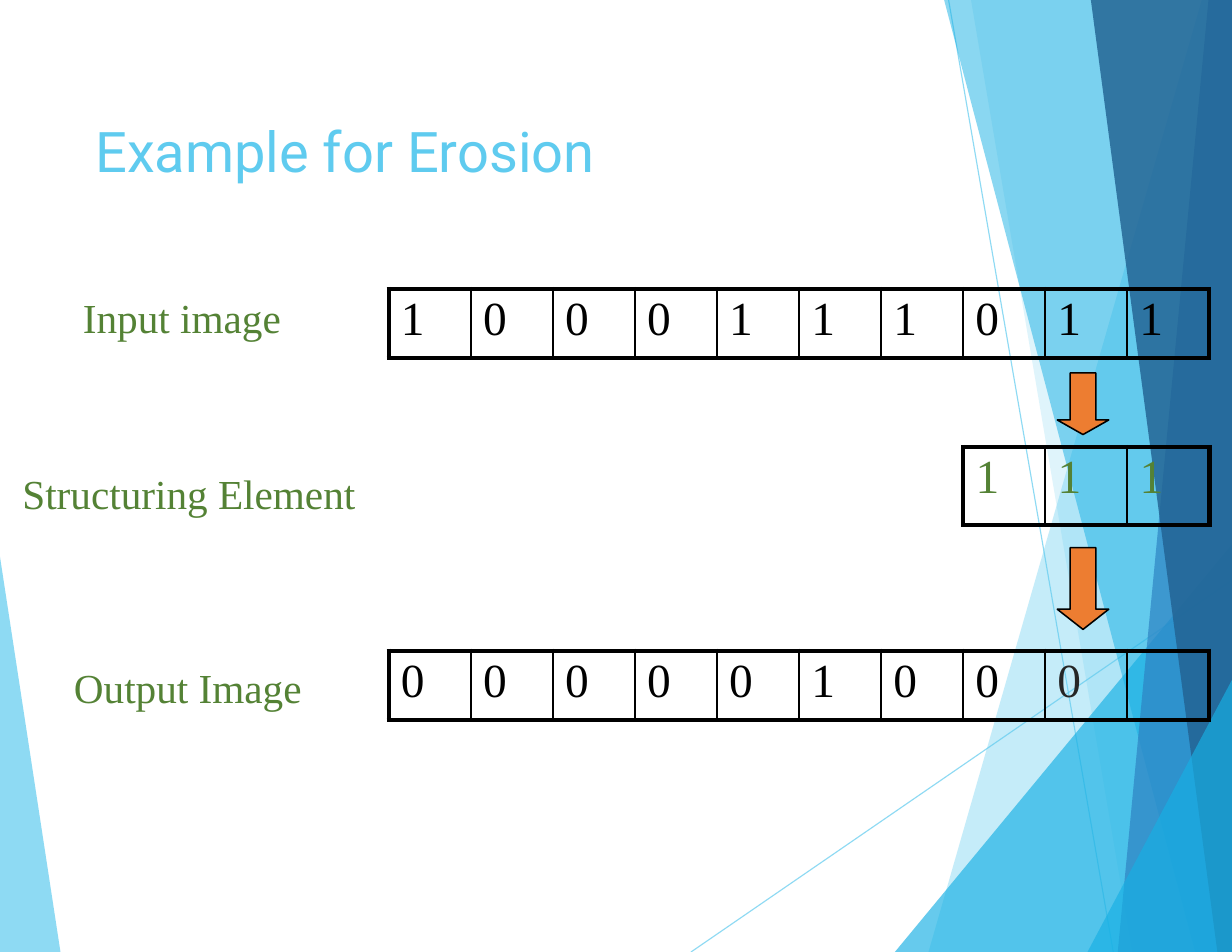
from lxml import etree
from pptx import Presentation
from pptx.dml.color import RGBColor
from pptx.enum.shapes import MSO_CONNECTOR, MSO_SHAPE
from pptx.enum.text import MSO_ANCHOR, PP_ALIGN
from pptx.oxml.ns import qn
from pptx.util import Inches, Pt

STRAIGHT = MSO_CONNECTOR.STRAIGHT
DOWN_ARROW = MSO_SHAPE.DOWN_ARROW
TOP = MSO_ANCHOR.TOP
LEFT = PP_ALIGN.LEFT

W, H = 11, 8.5
SERIF = "Times New Roman"
COLORS = {
    "sky": "5FCBEF", "cyan": "17B0E4", "blue": "2E83C3", "navy": "226292",
    "green": "548235", "orange": "ED7D31", "black": "000000", "dark": "262626",
}
FACETS = [
    ([(0, 4.97), (0.54, H), (0, H)], "sky", 70),
    ([(10.73, 0), (8.29, H), (W, H), (W, 0)], "sky", 36),
    ([(8.67, 0), (10.11, H), (W, H), (W, 0)], "sky", 20),
    ([(7.99, H), (W, 4.86), (W, H)], "cyan", 66),
    ([(8.43, 0), (10.67, H), (W, H), (W, 0)], "cyan", 50),
    ([(10.79, 0), (9.98, H), (W, H), (W, 0)], "blue", 70),
    ([(9.74, 0), (10.87, H), (W, H), (W, 0)], "navy", 82),
    ([(9.71, H), (W, 6.07), (W, H)], "cyan", 66),
]
RAYS = [(6.17, H, W, 5.18), (8.47, 0, 9.94, H)]


def rgb(name):
    return RGBColor.from_string(COLORS[name])


def set_alpha(element, percent):
    color = element.find(".//" + qn("a:srgbClr"))
    etree.SubElement(color, qn("a:alpha")).set("val", str(percent * 1000))


def style_font(font, name, size, color):
    font.name = name
    font.size = Pt(size)
    font.color.rgb = rgb(color)


def set_insets(tf, top):
    tf.margin_left = tf.margin_right = tf.margin_bottom = 0
    tf.margin_top = Inches(top)
    tf.vertical_anchor = TOP
    tf.word_wrap = True


def add_facet(s, points, color, alpha):
    corners = [(Inches(x), Inches(y)) for x, y in points]
    builder = s.shapes.build_freeform(*corners[0])
    builder.add_line_segments(corners[1:])
    sp = builder.convert_to_shape()
    sp.shadow.inherit = False
    sp.fill.solid()
    sp.fill.fore_color.rgb = rgb(color)
    set_alpha(sp.fill._xPr, alpha)
    sp.line.fill.background()


def add_ray(s, ends):
    line = s.shapes.add_connector(STRAIGHT, *[Inches(v) for v in ends])
    line.line.color.rgb = rgb("sky")
    line.line.width = Pt(0.75)
    sp_pr = line._element.spPr
    set_alpha(sp_pr, 70)
    etree.SubElement(sp_pr, qn("a:effectLst"))


def add_backdrop(s):
    add_facet(s, *FACETS[0])
    for ends in RAYS:
        add_ray(s, ends)
    for facet in FACETS[1:]:
        add_facet(s, *facet)


def add_title(s, text, box):
    sp = s.shapes.title
    sp.left, sp.top, sp.width, sp.height = [Inches(v) for v in box]
    tf = sp.text_frame
    set_insets(tf, 0.04)
    tf.text = text
    p = tf.paragraphs[0]
    p.alignment = LEFT
    style_font(p.runs[0].font, "Roboto", 36, "sky")


def add_labels(s, box, labels, gap=0):
    tf = s.shapes.add_textbox(*[Inches(v) for v in box]).text_frame
    set_insets(tf, 0.02)
    for i, (text, indent) in enumerate(labels):
        p = tf.add_paragraph() if i else tf.paragraphs[0]
        p.text = text
        if i:
            p.space_before = Pt(gap)
        p._p.get_or_add_pPr().set("marL", str(Inches(indent)))
        style_font(p.runs[0].font, SERIF, 26.5, "green")


def set_borders(cell, first, last):
    tc_pr = cell._tc.get_or_add_tcPr()
    widths = {"L": 3 if first else 1.5, "R": 3 if last else 1.5, "T": 3, "B": 3}
    for i, (side, width) in enumerate(widths.items()):
        ln = etree.Element(qn("a:ln" + side), w=str(Pt(width)))
        fill = etree.SubElement(ln, qn("a:solidFill"))
        etree.SubElement(fill, qn("a:srgbClr")).set("val", COLORS["black"])
        tc_pr.insert(i, ln)


def add_pixels(s, box, values, colors):
    left, top, width, height = [Inches(v) for v in box]
    n = len(values)
    table = s.shapes.add_table(1, n, left, top, width, height).table
    table.first_row = table.horz_banding = False
    for i, (value, color) in enumerate(zip(values, colors)):
        table.columns[i].width = width // n
        cell = table.cell(0, i)
        cell.margin_left = Inches(0.11)
        cell.margin_right = cell.margin_bottom = 0
        cell.margin_top = Inches(0.04)
        cell.fill.background()
        set_borders(cell, i == 0, i == n - 1)
        if value:
            cell.text = value
            font = cell.text_frame.paragraphs[0].runs[0].font
            style_font(font, SERIF, 30.5, color)


def add_arrow(s, box, head):
    sp = s.shapes.add_shape(DOWN_ARROW, *[Inches(v) for v in box])
    sp.adjustments[0] = 0.5
    sp.adjustments[1] = head / box[2]
    sp.shadow.inherit = False
    sp.fill.solid()
    sp.fill.fore_color.rgb = rgb("orange")
    sp.line.color.rgb = rgb("black")
    sp.line.width = Pt(1)


def build_erosion_slide(prs):
    s = prs.slides.add_slide(prs.slide_layouts[5])
    add_backdrop(s)
    add_title(s, "Example for Erosion", (0.85, 1, 5.56, 0.63))
    add_pixels(s, (3.47, 2.58, 7.33, 0.62), list("1000111011"), ["black"] * 10)
    add_labels(s, (0.19, 2.59, 2.99, 1.98),
               [("Input image", 0.55), ("Structuring Element", 0.01)], gap=81)
    add_labels(s, (0.65, 5.89, 2.05, 0.47), [("Output Image", 0.01)])
    add_pixels(s, (8.6, 3.99, 2.2, 0.7), list("111"), ["green"] * 3)
    add_arrow(s, (9.44, 4.89, 0.46, 0.73), 0.18)
    add_arrow(s, (9.44, 3.33, 0.46, 0.55), 0.13)
    add_pixels(s, (3.47, 5.81, 7.33, 0.62), [*"000001000", ""],
               ["black"] * 8 + ["dark"] * 2)


def main():
    prs = Presentation()
    prs.slide_width = Inches(W)
    prs.slide_height = Inches(H)
    build_erosion_slide(prs)
    prs.save("out.pptx")


if __name__ == "__main__":
    main()
